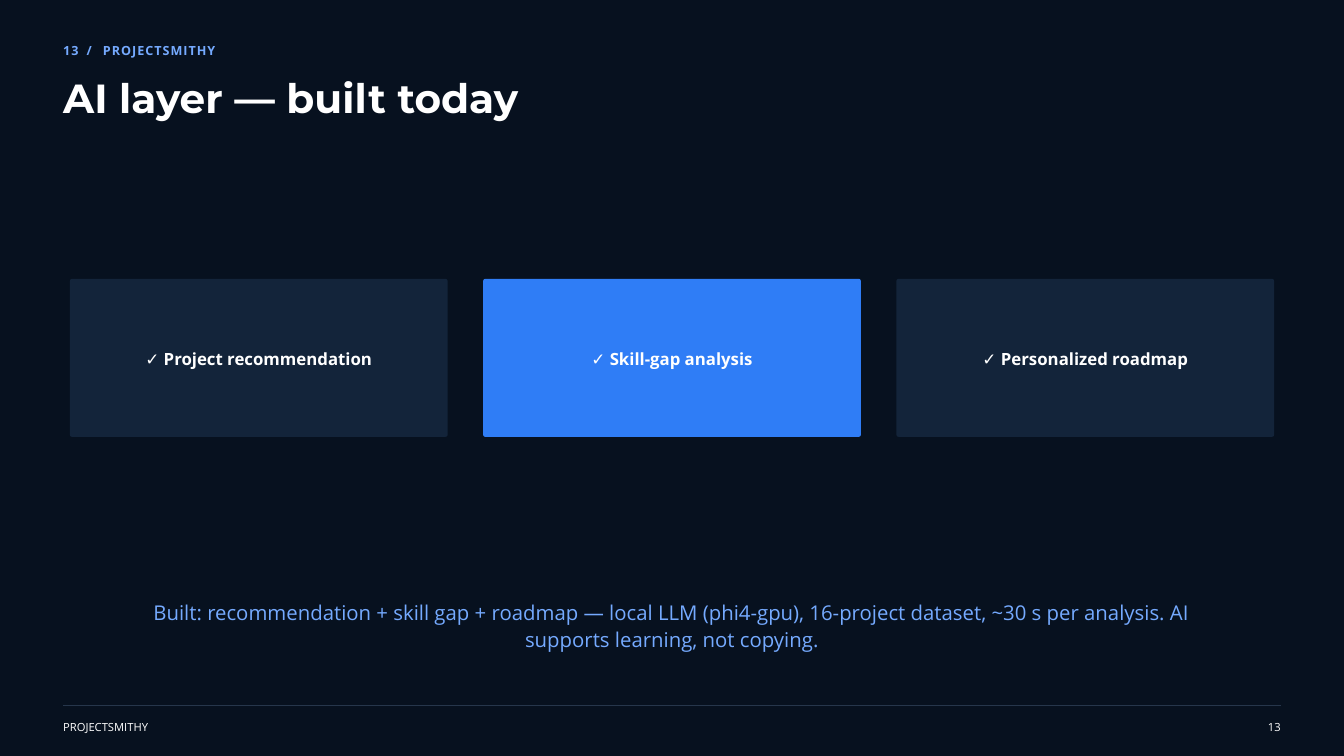
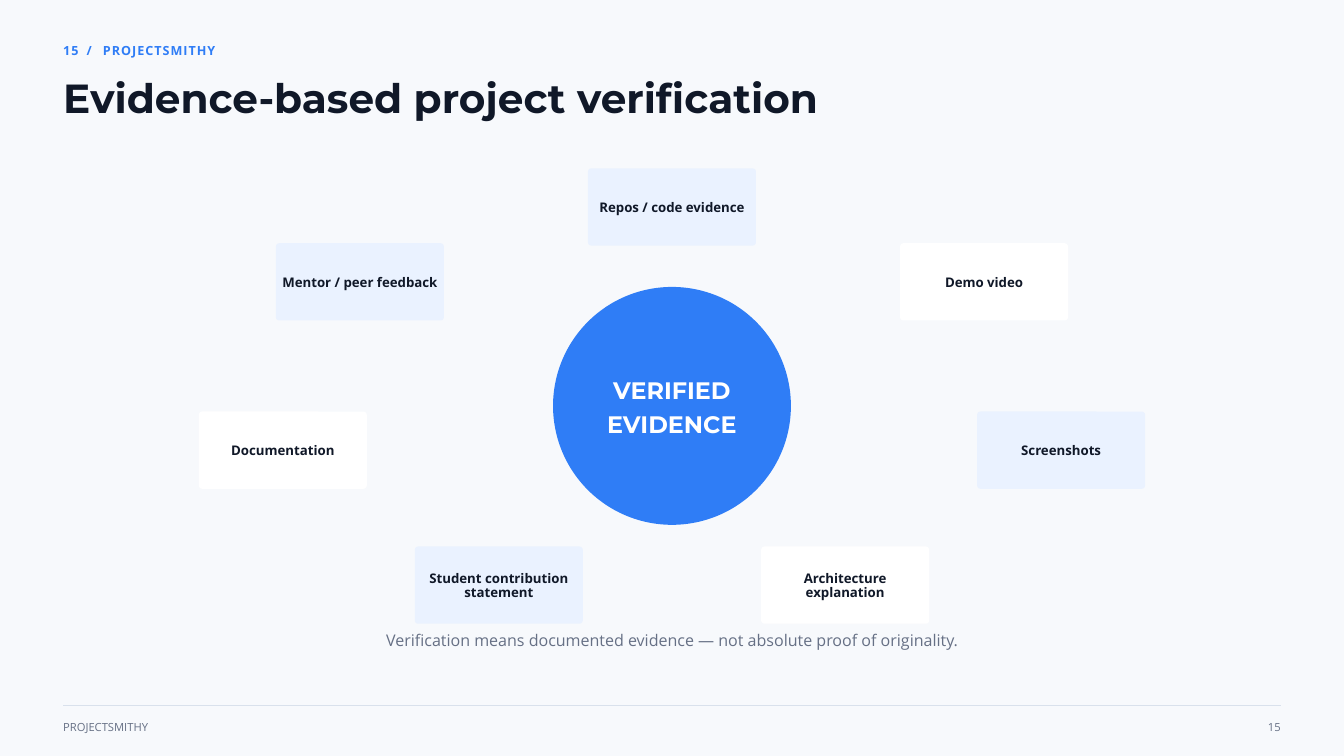
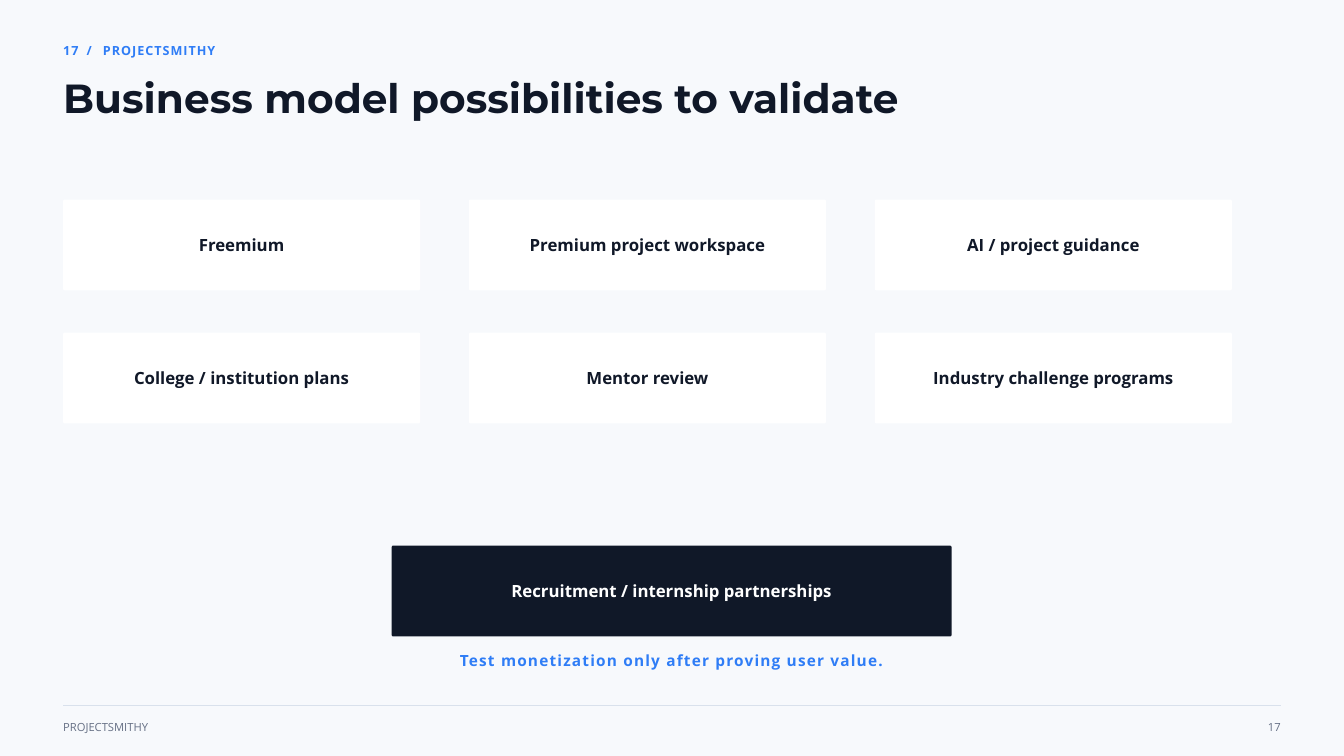
import math

from lxml import etree
from pptx import Presentation
from pptx.dml.color import RGBColor
from pptx.enum import shapes, text
from pptx.oxml import ns
from pptx.util import Inches, Pt

# Shared look
NIGHT = RGBColor(0x07, 0x11, 0x1F)
NAVY = RGBColor(0x13, 0x24, 0x3A)
NAVY_LINE = RGBColor(0x26, 0x36, 0x4B)
SKY = RGBColor(0x75, 0xAA, 0xFF)
BLUE = RGBColor(0x2F, 0x7D, 0xF6)
PALE_BLUE = RGBColor(0xEA, 0xF2, 0xFF)
PAPER = RGBColor(0xF7, 0xF9, 0xFC)
PAPER_LINE = RGBColor(0xD9, 0xE1, 0xEC)
INK = RGBColor(0x10, 0x18, 0x28)
GREY = RGBColor(0x66, 0x70, 0x85)
WHITE = RGBColor(0xFF, 0xFF, 0xFF)
HEAD, BODY = "Montserrat", "Open Sans"
BRAND = "PROJECTSMITHY"
LEFT, RIGHT = 0.94, 19.06
CENTER = text.PP_ALIGN.CENTER


def write(sp, lines, size, color, leading, bold=False, font=BODY,
          align=text.PP_ALIGN.LEFT, spacing=0, insets=(0, 0, 0, 0),
          anchor=text.MSO_ANCHOR.TOP):
    """Fill a shape with paragraphs; a line is a string or (string, spacing) runs."""
    tf = sp.text_frame
    tf.word_wrap = True
    tf.auto_size = text.MSO_AUTO_SIZE.NONE
    tf.vertical_anchor = anchor
    tf.margin_left, tf.margin_top, tf.margin_right, tf.margin_bottom = map(Inches, insets)
    for i, line in enumerate(lines):
        p = tf.paragraphs[0] if i == 0 else tf.add_paragraph()
        p.alignment = align
        p.line_spacing = Pt(leading)
        p.space_before = Pt(0)
        p.font.name, p.font.size, p.font.bold = font, Pt(size), bold
        p.font.color.rgb = color
        for words, spc in [(line, spacing)] if isinstance(line, str) else line:
            r = p.add_run()
            r.text = words
            if spc:
                r._r.get_or_add_rPr().set("spc", str(round(spc * 100)))


def card(s, kind, box, fill, lines, size, color, leading, radius=0, font=BODY, shift=0.02):
    """Add a filled shape with centred bold text, lowered by half of shift."""
    sp = s.shapes.add_shape(kind, *map(Inches, box))
    sp.shadow.inherit = False
    sp.fill.solid()
    sp.fill.fore_color.rgb = fill
    sp.line.fill.background()
    if radius:
        sp.adjustments[0] = radius / box[3]
    insets = (0.04, 0.06 + max(shift, 0), 0.04, 0.06 + max(-shift, 0))
    write(sp, lines, size, color, leading, bold=True, font=font, align=CENTER,
          insets=insets, anchor=text.MSO_ANCHOR.MIDDLE)


prs = Presentation()
prs.slide_width, prs.slide_height = Inches(20), Inches(11.25)
ROUNDED = shapes.MSO_SHAPE.ROUNDED_RECTANGLE

# Frame of every slide: background, kicker, title, rule and footer
PAGES = [
    ("13", "AI layer — built today", NIGHT, SKY, WHITE, NAVY_LINE, WHITE),
    ("15", "Evidence-based project verification", PAPER, BLUE, INK, PAPER_LINE, GREY),
    ("17", "Business model possibilities to validate", PAPER, BLUE, INK, PAPER_LINE, GREY),
]
slides = []
for number, title, ground, accent, title_color, rule_color, footer_color in PAGES:
    s = prs.slides.add_slide(prs.slide_layouts[5])
    slides.append(s)
    s.background.fill.solid()
    s.background.fill.fore_color.rgb = ground

    sp = s.shapes.title
    sp.left, sp.top, sp.width, sp.height = map(Inches, (LEFT, 1.18, 15.62, 0.66))
    write(sp, [title], 43.5, title_color, 45.7, bold=True, font=HEAD)

    sp = s.shapes.add_textbox(*map(Inches, (LEFT, 0.6, 6.77, 0.25)))
    write(sp, [[(number, 1.1), (" / ", 4.2), (BRAND, 1.1)]], 13.5, accent, 18.9, bold=True)

    rule = s.shapes.add_connector(shapes.MSO_CONNECTOR.STRAIGHT, Inches(LEFT), Inches(10.5),
                                  Inches(RIGHT), Inches(10.5))
    rule.line.color.rgb = rule_color
    rule.line.width = Pt(0.75)
    etree.SubElement(rule._element.spPr, ns.qn("a:effectLst"))

    for words, left, width, align in [(BRAND, LEFT, 3.12, text.PP_ALIGN.LEFT),
                                      (number, RIGHT - 0.73, 0.73, text.PP_ALIGN.RIGHT)]:
        sp = s.shapes.add_textbox(*map(Inches, (left, 10.7, width, 0.2)))
        write(sp, [words], 12, footer_color, 15.6, align=align)

ai, evidence, business = slides

# AI layer: three features in a row
FEATURES = [("✓ Project recommendation", NAVY), ("✓ Skill-gap analysis", BLUE),
            ("✓ Personalized roadmap", NAVY)]
for i, (feature, fill) in enumerate(FEATURES):
    card(ai, ROUNDED, (1.04 + 6.15 * i, 4.15, 5.62, 2.35), fill, [feature],
         18, WHITE, 19.8, radius=0.03, shift=0.04)

# Evidence: seven cards on an ellipse, clockwise from the top, around a circle
KINDS = ["Repos / code evidence", "Demo video", "Screenshots", "Architecture explanation",
         "Student contribution statement", "Documentation", "Mentor / peer feedback"]
PALE_KINDS = (0, 2, 4, 6)
CX, CY, RX, RY = 10, 6.04, 5.94, 2.96
CARD_W, CARD_H, HUB = 2.5, 1.15, 3.54
for i, kind in enumerate(KINDS):
    angle = 2 * math.pi * i / len(KINDS)
    x = CX + RX * math.sin(angle) - CARD_W / 2
    y = CY - RY * math.cos(angle) - CARD_H / 2
    card(evidence, ROUNDED, (x, y, CARD_W, CARD_H), PALE_BLUE if i in PALE_KINDS else WHITE,
         [kind], 14.2, INK, 15.7, radius=0.05)
card(evidence, shapes.MSO_SHAPE.OVAL, (CX - HUB / 2, CY - HUB / 2, HUB, HUB), BLUE,
     ["VERIFIED", "EVIDENCE"], 25.5, WHITE, 35.7, font=HEAD, shift=-0.04)

# Business model: grid of three by two, and one wide card
MODELS = ["Freemium", "Premium project workspace", "AI / project guidance",
          "College / institution plans", "Mentor review", "Industry challenge programs"]
for i, model in enumerate(MODELS):
    row, col = divmod(i, 3)
    card(business, ROUNDED, (LEFT + 6.04 * col, 2.97 + 1.98 * row, 5.31, 1.35), WHITE,
         [model], 18, INK, 19.8, radius=0.02)
card(business, ROUNDED, (5.83, 8.12, 8.33, 1.35), INK,
     ["Recruitment / internship partnerships"], 18, WHITE, 19.8, radius=0.02)

# Closing line of each slide
CLOSINGS = [
    (ai, (2, 8.88, 16, 0.82), "Built: recommendation + skill gap + roadmap — local LLM (phi4-gpu), "
     "16-project dataset, ~30 s per analysis. AI supports learning, not copying.",
     21.8, SKY, 29.4, False, 0),
    (evidence, (5, 9.36, 10, 0.29),
     "Verification means documented evidence — not absolute proof of originality.",
     17.2, GREY, 22.4, False, 0),
    (business, (5.83, 9.65, 8.33, 0.31), "Test monetization only after proving user value.",
     16.5, BLUE, 23.1, True, 1.3),
]
for s, box, words, size, color, leading, bold, spacing in CLOSINGS:
    sp = s.shapes.add_textbox(*map(Inches, box))
    write(sp, [words], size, color, leading, bold=bold, align=CENTER, spacing=spacing)

prs.save("out.pptx")
